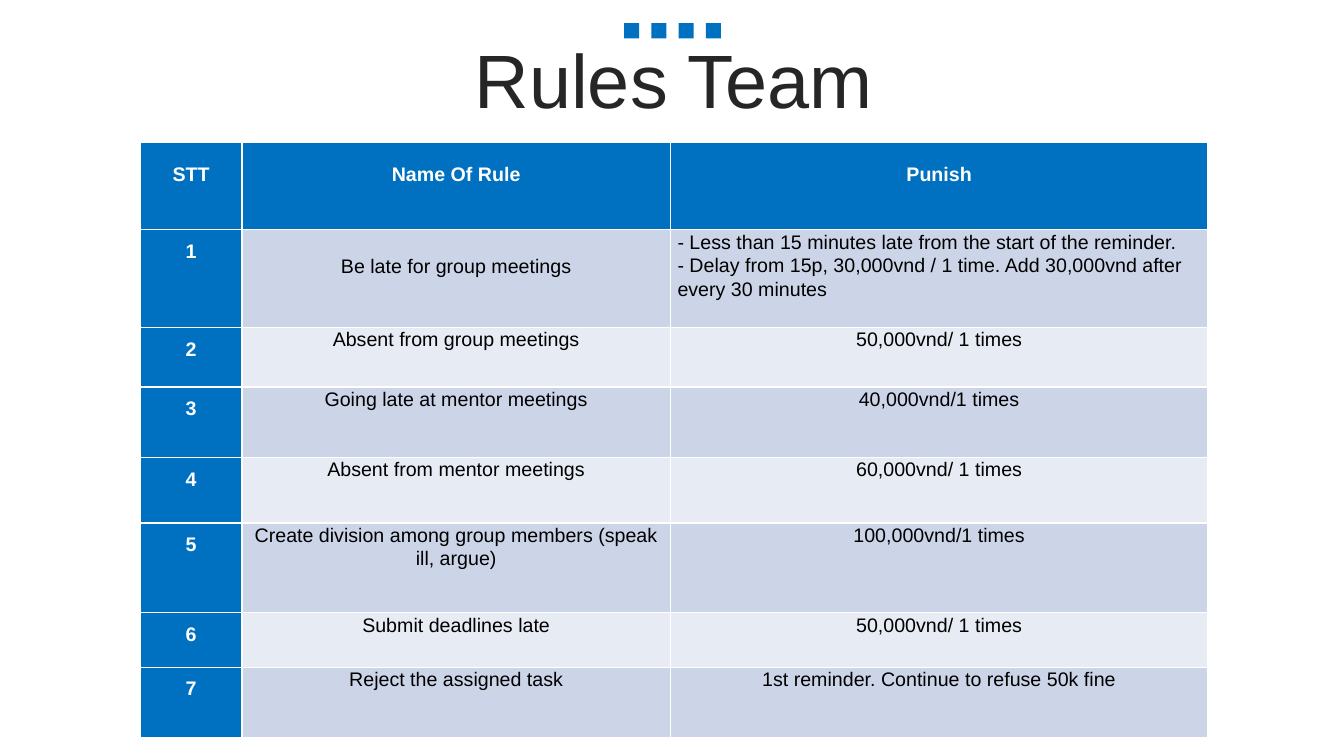
from pptx import Presentation
from pptx.dml.color import RGBColor
from pptx.enum.shapes import MSO_SHAPE
from pptx.enum.text import MSO_ANCHOR, MSO_AUTO_SIZE, PP_ALIGN
from pptx.util import Inches, Pt

BLUE = RGBColor(0x00, 0x70, 0xC0)
WHITE = RGBColor(0xFF, 0xFF, 0xFF)
BLACK = RGBColor(0x00, 0x00, 0x00)
CHARCOAL = RGBColor(0x26, 0x26, 0x26)
BAND_DARK = RGBColor(0xCC, 0xD5, 0xE8)
BAND_LIGHT = RGBColor(0xE7, 0xEB, 0xF4)
FONT = "Arial"

HEADINGS = ["STT", "Name Of Rule", "Punish"]
RULES = [
    ("Be late for group meetings",
     "- Less than 15 minutes late from the start of the reminder.\n"
     "- Delay from 15p, 30,000vnd / 1 time. Add 30,000vnd after every 30 minutes"),
    ("Absent from group meetings", "50,000vnd/ 1 times"),
    ("Going late at mentor meetings", "40,000vnd/1 times"),
    ("Absent from mentor meetings", "60,000vnd/ 1 times"),
    ("Create division among group members (speak ill, argue)", "100,000vnd/1 times"),
    ("Submit deadlines late", "50,000vnd/ 1 times"),
    ("Reject the assigned task", "1st reminder. Continue to refuse 50k fine"),
]
COLUMN_WIDTHS = [1.01, 4.25, 5.33]
ROW_HEIGHTS = [0.87, 0.97, 0.59, 0.7, 0.65, 0.89, 0.54, 0.7]


def add_line(paragraph, text, size, color, spacing, align=PP_ALIGN.CENTER, bold=False):
    paragraph.alignment = align
    paragraph.line_spacing = spacing
    run = paragraph.add_run()
    run.text = text
    run.font.name = FONT
    run.font.size = Pt(size)
    run.font.bold = bold
    run.font.color.rgb = color


def fill_cell(cell, text, fill, color, spacing, align=PP_ALIGN.CENTER, bold=False):
    """Fill a table cell, one paragraph per line of text."""
    cell.fill.solid()
    cell.fill.fore_color.rgb = fill
    cell.margin_left = cell.margin_right = Inches(0.07)
    cell.margin_top = cell.margin_bottom = 0
    frame = cell.text_frame
    for index, line in enumerate(text.split("\n")):
        paragraph = frame.add_paragraph() if index else frame.paragraphs[0]
        add_line(paragraph, line, 14, color, spacing, align, bold)


prs = Presentation()
prs.slide_width = Inches(13.33)
prs.slide_height = Inches(7.5)
slide = prs.slides.add_slide(prs.slide_layouts[5])

# Row of accent squares
for index in range(4):
    square = slide.shapes.add_shape(
        MSO_SHAPE.RECTANGLE, Inches(6.19 + 0.27 * index), Inches(0.23),
        Inches(0.15), Inches(0.15))
    square.shadow.inherit = False
    square.fill.solid()
    square.fill.fore_color.rgb = BLUE
    square.line.fill.background()

# Title
title = slide.shapes.title
title.left, title.top = Inches(0.35), Inches(0.44)
title.width, title.height = Inches(12.66), Inches(0.79)
title.text_frame.auto_size = MSO_AUTO_SIZE.NONE
title.text_frame.vertical_anchor = MSO_ANCHOR.MIDDLE
add_line(title.text_frame.paragraphs[0], "Rules Team", 54, CHARCOAL, 0.9)

# Rules table
rules_table = slide.shapes.add_table(
    len(RULES) + 1, len(HEADINGS), Inches(1.39), Inches(1.41),
    Inches(sum(COLUMN_WIDTHS)), Inches(sum(ROW_HEIGHTS))).table
rules_table.first_col = True
for column, width in zip(rules_table.columns, COLUMN_WIDTHS):
    column.width = Inches(width)
for row, height in zip(rules_table.rows, ROW_HEIGHTS):
    row.height = Inches(height)

for column, heading in enumerate(HEADINGS):
    fill_cell(rules_table.cell(0, column), heading, BLUE, WHITE, 2, bold=True)

for number, (rule, punishment) in enumerate(RULES, start=1):
    band = BAND_DARK if number % 2 else BAND_LIGHT
    punishment_align = PP_ALIGN.LEFT if "\n" in punishment else PP_ALIGN.CENTER
    fill_cell(rules_table.cell(number, 0), str(number), BLUE, WHITE, 1.5, bold=True)
    fill_cell(rules_table.cell(number, 1), rule, band, BLACK, 1.07)
    fill_cell(rules_table.cell(number, 2), punishment, band, BLACK, 1.07, punishment_align)

# The first rule sits level with the second line of its punishment
rules_table.cell(1, 1).margin_top = Inches(0.24)

prs.save("out.pptx")
